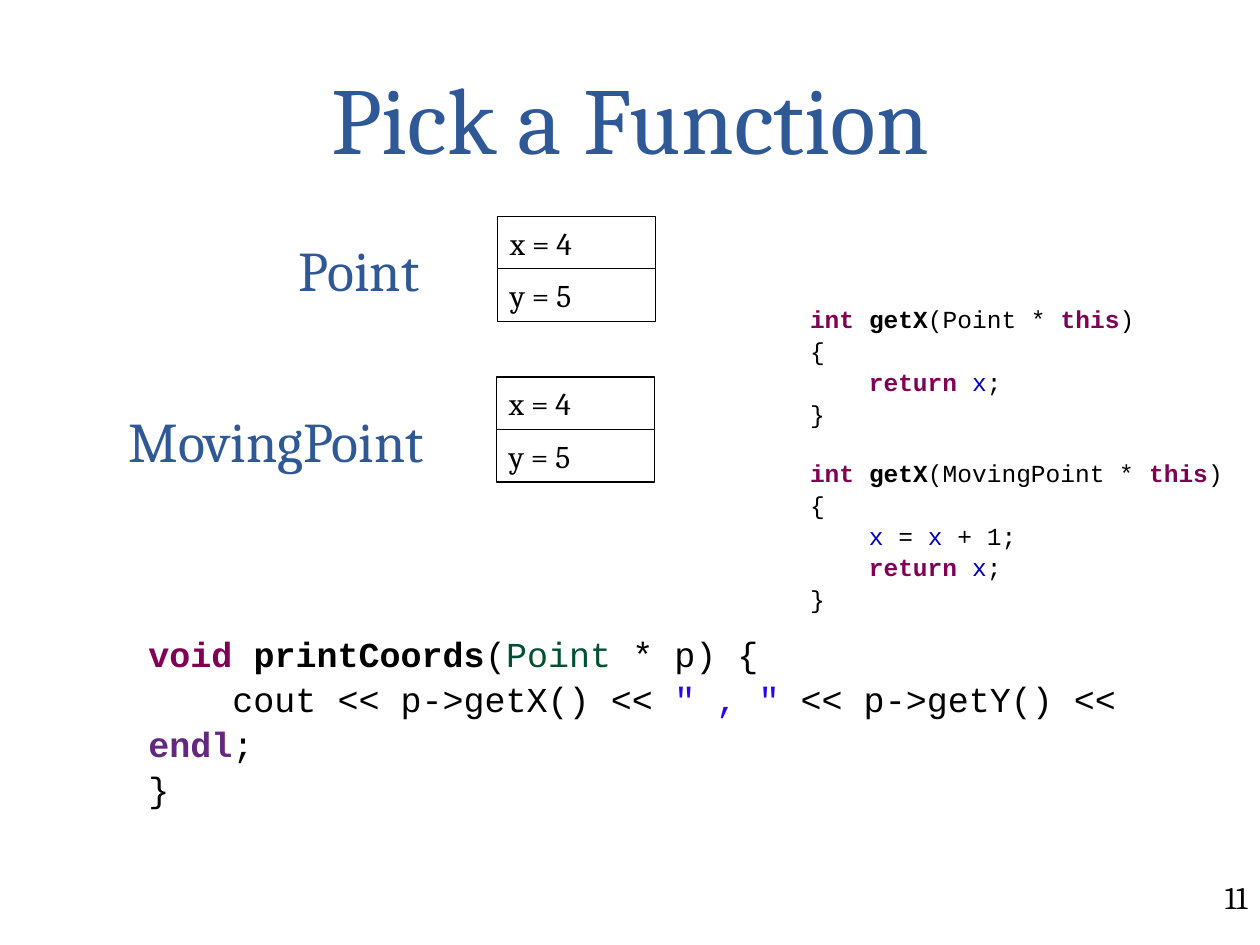
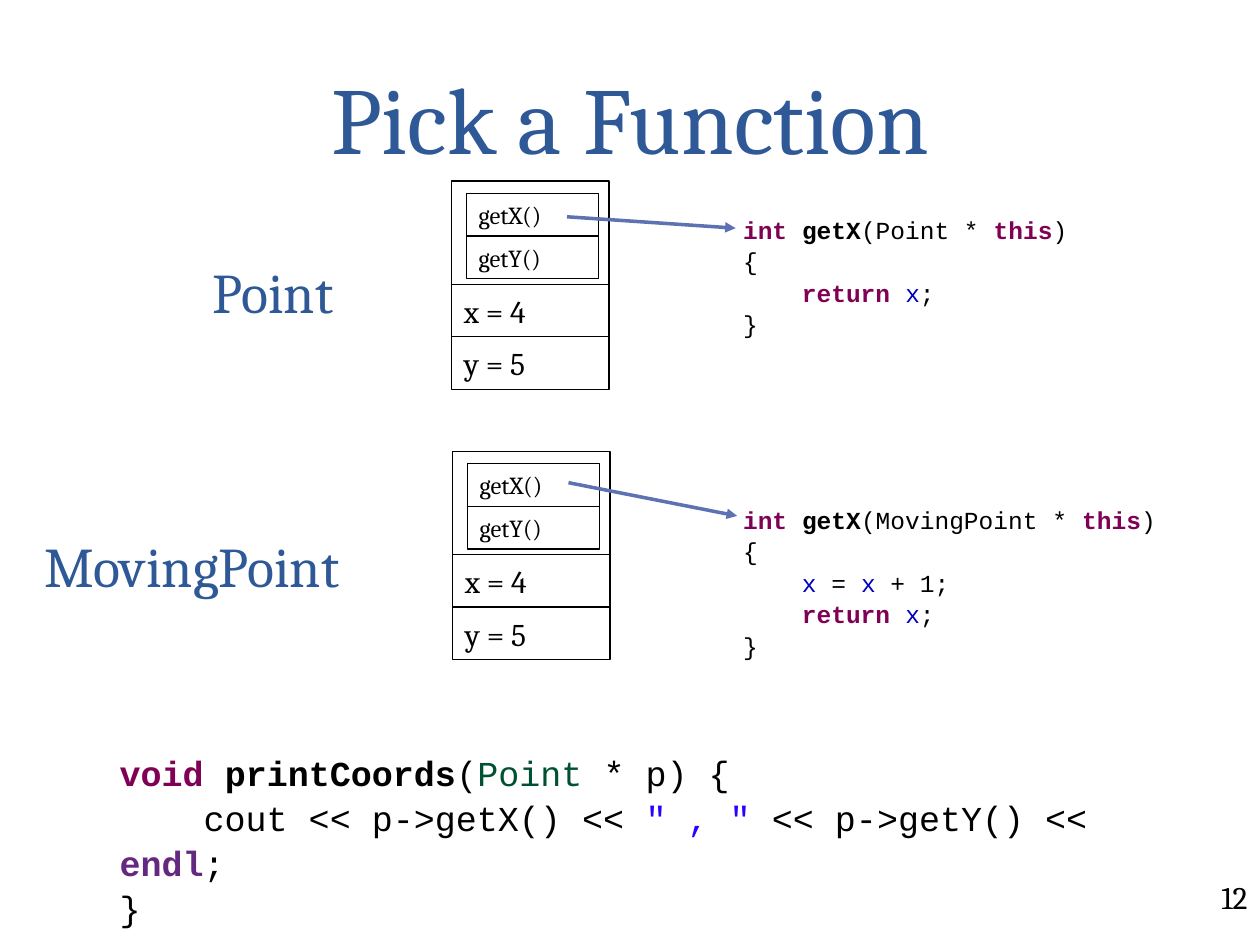
from lxml import etree
from pptx import Presentation
from pptx.dml.color import RGBColor
from pptx.enum.shapes import MSO_CONNECTOR, MSO_SHAPE
from pptx.enum.text import MSO_ANCHOR, PP_ALIGN
from pptx.oxml.ns import qn
from pptx.util import Cm, Pt

RECTANGLE = MSO_SHAPE.RECTANGLE
STRAIGHT = MSO_CONNECTOR.STRAIGHT
TOP, MIDDLE, BOTTOM = MSO_ANCHOR.TOP, MSO_ANCHOR.MIDDLE, MSO_ANCHOR.BOTTOM
LEFT, CENTER, RIGHT = PP_ALIGN.LEFT, PP_ALIGN.CENTER, PP_ALIGN.RIGHT

BLACK = RGBColor(0x00, 0x00, 0x00)
HEADING_BLUE = RGBColor(0x2F, 0x58, 0x97)
ARROW_BLUE = RGBColor(0x5C, 0x72, 0xB2)
KEYWORD_PURPLE = RGBColor(0x7F, 0x00, 0x55)
FIELD_BLUE = RGBColor(0x00, 0x00, 0xC0)
TYPE_GREEN = RGBColor(0x00, 0x50, 0x32)
STRING_BLUE = RGBColor(0x2A, 0x00, 0xFF)
STREAM_VIOLET = RGBColor(0x64, 0x28, 0x80)

SERIF, MONO = "Cambria", "Courier New"

# Code styles: colour and bold
PLAIN = (BLACK, False)
NAME = (BLACK, True)
KEYWORD = (KEYWORD_PURPLE, True)
FIELD = (FIELD_BLUE, False)
TYPE = (TYPE_GREEN, False)
STRING = (STRING_BLUE, False)
STREAM = (STREAM_VIOLET, True)

RETURN_X = [("    return ", KEYWORD), ("x", FIELD), (";", PLAIN)]
CLOSE = [("}", PLAIN)]
POINT_GET_X = [
    [("int ", KEYWORD), ("getX", NAME), ("(Point * ", PLAIN),
     ("this", KEYWORD), (") {", PLAIN)],
    RETURN_X,
    CLOSE,
]
MOVING_GET_X = [
    [("int ", KEYWORD), ("getX", NAME), ("(MovingPoint * ", PLAIN),
     ("this", KEYWORD), (") {", PLAIN)],
    [("    x", FIELD), (" = ", PLAIN), ("x", FIELD), (" + 1;", PLAIN)],
    RETURN_X,
    CLOSE,
]
PRINT_COORDS = [
    [("void ", KEYWORD), ("printCoords", NAME), ("(", PLAIN),
     ("Point", TYPE), (" * p) {", PLAIN)],
    [("    cout << p->getX() << ", PLAIN), ('" , "', STRING),
     (" << p->getY() << ", PLAIN), ("endl", STREAM), (";", PLAIN)],
    CLOSE,
]

CELL_WIDTH, CELL_HEIGHT = 3.18, 1.06
METHOD_WIDTH, METHOD_HEIGHT = 2.67, 0.86
TABLE_HEIGHT = 2.08

# Lengths in cm; each object is label, label place and width, top left of its
# cells, and each code block is lines, size, left and top.
PAGES = [
    {
        "number": "11",
        "objects": [("Point", 5.77, 4.09, 4.24, 10.03, 4.36),
                    ("MovingPoint", 2.34, 7.54, 7.65, 10.01, 7.6)],
        "method_table": False,
        "code": [(POINT_GET_X, 14, 16.08, 5.97),
                 (MOVING_GET_X, 14, 16.08, 9.07),
                 (PRINT_COORDS, 20, 2.74, 12.57)],
        "arrows": [],
    },
    {
        "number": "12",
        "objects": [("Point", 4.04, 4.55, 4.24, 9.1, 3.65),
                    ("MovingPoint", 0.64, 10.06, 7.65, 9.12, 9.1)],
        "method_table": True,
        "code": [(POINT_GET_X, 14, 14.73, 4.17),
                 (MOVING_GET_X, 14, 14.73, 10.01),
                 (PRINT_COORDS, 20, 2.16, 14.96)],
        "arrows": [(11.43, 4.37, 14.83, 4.6), (11.46, 9.73, 14.86, 10.4)],
    },
]


def write(box, text, size, color=BLACK, align=LEFT, anchor=MIDDLE):
    frame = box.text_frame
    frame.word_wrap = True
    frame.vertical_anchor = anchor
    para = frame.paragraphs[0]
    para.text = text
    para.alignment = align
    para.font.name = SERIF
    para.font.size = Pt(size)
    para.font.color.rgb = color
    return para


def add_cell(page, left, top, width, height, text="", size=18):
    cell = page.shapes.add_shape(RECTANGLE, Cm(left), Cm(top), Cm(width), Cm(height))
    cell.shadow.inherit = False
    cell.fill.background()
    cell.line.color.rgb = BLACK
    cell.line.width = Pt(0.75)
    if text:
        write(cell, text, size)


deck = Presentation()
deck.slide_width, deck.slide_height = Cm(25.4), Cm(19.05)
title_only = deck.slide_layouts[5]

for content in PAGES:
    page = deck.slides.add_slide(title_only)
    title = page.shapes.title
    title.left, title.top, title.width, title.height = Cm(1.27), Cm(0.89), Cm(22.86), Cm(2.74)
    write(title, "Pick a Function", 54, HEADING_BLUE, CENTER, BOTTOM).line_spacing = Pt(58)

    number = page.shapes.add_textbox(Cm(23.85), Cm(17.58), Cm(1.55), Cm(1.02))
    write(number, content["number"], 18, align=RIGHT, anchor=TOP)

    for name, label_left, label_top, label_width, left, top in content["objects"]:
        label = page.shapes.add_textbox(Cm(label_left), Cm(label_top), Cm(label_width), Cm(2.13))
        write(label, name, 32, HEADING_BLUE, anchor=BOTTOM).line_spacing = Pt(58)
        if content["method_table"]:
            add_cell(page, left, top, CELL_WIDTH, TABLE_HEIGHT)
            for row, method in enumerate(["getX()", "getY()"]):
                add_cell(page, left + 0.3, top + 0.25 + row * METHOD_HEIGHT,
                         METHOD_WIDTH, METHOD_HEIGHT, method, 14)
            top += TABLE_HEIGHT
        for row, field in enumerate(["x = 4", "y = 5"]):
            add_cell(page, left, top + row * CELL_HEIGHT, CELL_WIDTH, CELL_HEIGHT, field)

    for lines, size, left, top in content["code"]:
        # A monospaced letter is 0.6 of the font size wide
        longest = max(sum(len(text) for text, style in line) for line in lines)
        width = Pt(0.6 * size * longest) + Cm(0.51)
        height = Pt(1.3 * size * len(lines)) + Cm(0.25)
        box = page.shapes.add_textbox(Cm(left), Cm(top), width, height)
        frame = box.text_frame
        frame.word_wrap = False
        for index, line in enumerate(lines):
            para = frame.add_paragraph() if index else frame.paragraphs[0]
            para.line_spacing = 1.07
            para.font.name = MONO
            para.font.size = Pt(size)
            for text, (color, bold) in line:
                span = para.add_run()
                span.text = text
                span.font.color.rgb = color
                span.font.bold = bold

    for start_x, start_y, end_x, end_y in content["arrows"]:
        arrow = page.shapes.add_connector(STRAIGHT, Cm(start_x), Cm(start_y), Cm(end_x), Cm(end_y))
        arrow.line.color.rgb = ARROW_BLUE
        arrow.line.width = Pt(2)
        properties = arrow.line._get_or_add_ln()
        etree.SubElement(properties, qn("a:tailEnd"), type="triangle")
        etree.SubElement(properties.getparent(), qn("a:effectLst"))

deck.save("out.pptx")
